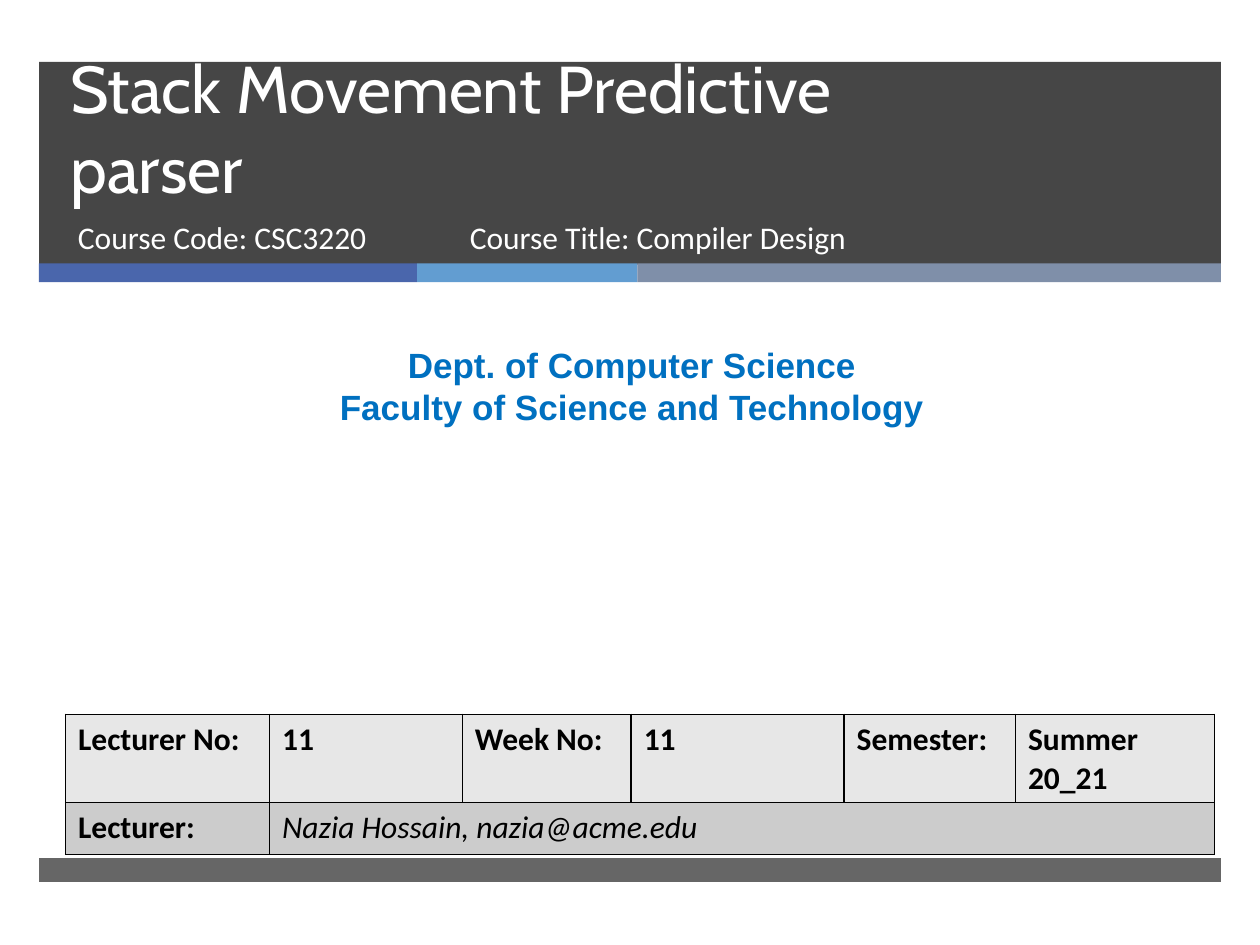
"""Build the opening slide of a compiler design lecture."""
from lxml import etree
from pptx import Presentation, util as u
from pptx.dml.color import RGBColor
from pptx.enum import shapes, text
from pptx.oxml.ns import qn

WHITE, BLACK = RGBColor(255, 255, 255), RGBColor(0, 0, 0)
CHARCOAL = RGBColor(0x26, 0x26, 0x26)
INDIGO, SKY, SLATE = (RGBColor.from_string(c) for c in ("4A66AC", "629DD1", "7F8FA9"))
DEPT_BLUE = RGBColor(0, 0x70, 0xC0)
ROW_FILLS = RGBColor(0xE7, 0xE7, 0xE7), RGBColor(0xCC, 0xCC, 0xCC)

BAND_LEFT, BAND_WIDTH = 0.31, 9.38
BANDS = [(0.49, 1.61, 85), (6.81, 0.19, 70)]
STRIPES = [(3, INDIGO), (1.75, SKY), (4.63, SLATE)]
STRIPE_TOP, STRIPE_HEIGHT = 2.09, 0.15

COURSE = {"name": "Calibri", "size": u.Pt(18)}
TEXTS = [
    ((0.46, 0.5, 8.54, 1.19), ["Stack Movement Predictive \vparser"],
     {"name": "Cabin", "size": u.Pt(37.8)}, WHITE,
     {"line_spacing": u.Pt(46)}, text.MSO_ANCHOR.BOTTOM),
    ((0.52, 1.68, 3.05, 0.53), ["Course Code: CSC3220"],
     COURSE, WHITE, {}, text.MSO_ANCHOR.TOP),
    ((3.63, 1.68, 4.55, 0.53), ["Course Title: Compiler Design"],
     COURSE, WHITE, {}, text.MSO_ANCHOR.TOP),
    ((0.08, 2.68, 9.87, 0.77),
     ["Dept. of Computer Science", "Faculty of Science and Technology"],
     {"name": "Arial", "size": u.Pt(20), "bold": True}, DEPT_BLUE,
     {"alignment": text.PP_ALIGN.CENTER}, text.MSO_ANCHOR.TOP),
]

DETAILS = [
    ["Lecturer No:", "11", "Week No:", "11", "Semester:", "Summer 20_21"],
    ["Lecturer:", "Nazia Hossain, nazia@acme.edu", "", "", "", ""],
]
COLUMNS = [1.62, 1.53, 1.34, 1.69, 1.36, 1.58]
ROWS = [0.7, 0.41]
DETAILS_LEFT, DETAILS_TOP = 0.52, 5.67


def inches(values):
    return [u.Inches(v) for v in values]


def apply(target, values):
    for key, value in values.items():
        setattr(target, key, value)


def write(paragraph, words, font, color, layout):
    paragraph.text = words
    apply(paragraph, layout)
    for run in paragraph.runs:
        apply(run.font, font)
        run.font.color.rgb = color


def add_bar(slide, box, color, opacity=100):
    bar = slide.shapes.add_shape(shapes.MSO_SHAPE.RECTANGLE, *inches(box))
    bar.shadow.inherit = False
    bar.line.fill.background()
    bar.fill.solid()
    bar.fill.fore_color.rgb = color
    if opacity < 100:
        tint = bar.fill._xPr.find(".//" + qn("a:srgbClr"))
        etree.SubElement(tint, qn("a:alpha"), val=str(opacity * 1000))


def add_words(slide, box, lines, font, color, layout, anchor):
    frame = slide.shapes.add_textbox(*inches(box)).text_frame
    apply(frame, {"word_wrap": True, "vertical_anchor": anchor})
    for index, line in enumerate(lines):
        paragraph = frame.add_paragraph() if index else frame.paragraphs[0]
        write(paragraph, line, font, color, layout)


def add_borders(cell):
    properties = cell._tc.get_or_add_tcPr()
    for position, side in enumerate(("a:lnL", "a:lnR", "a:lnT", "a:lnB")):
        border = etree.Element(qn(side), w=str(u.Pt(1)))
        fill = etree.SubElement(border, qn("a:solidFill"))
        etree.SubElement(fill, qn("a:srgbClr"), val=str(BLACK))
        properties.insert(position, border)


def add_details(slide):
    box = DETAILS_LEFT, DETAILS_TOP, sum(COLUMNS), sum(ROWS)
    table = slide.shapes.add_table(len(ROWS), len(COLUMNS), *inches(box)).table
    for column, width in zip(table.columns, COLUMNS):
        column.width = u.Inches(width)
    for row, height in zip(table.rows, ROWS):
        row.height = u.Inches(height)
    table.cell(1, 1).merge(table.cell(1, len(COLUMNS) - 1))
    for r, entries in enumerate(DETAILS):
        for c, entry in enumerate(entries):
            cell = table.cell(r, c)
            cell.fill.solid()
            cell.fill.fore_color.rgb = ROW_FILLS[r]
            add_borders(cell)
            contact = (r, c) == (1, 1)
            font = {**COURSE, "bold": not contact, "italic": contact}
            if entry:
                write(cell.text_frame.paragraphs[0], entry, font, BLACK, {})


def main():
    deck = Presentation()
    deck.slide_width, deck.slide_height = inches((10, 7.5))
    slide = deck.slides.add_slide(deck.slide_layouts[6])
    for top, height, opacity in BANDS:
        add_bar(slide, (BAND_LEFT, top, BAND_WIDTH, height), CHARCOAL, opacity)
    left = BAND_LEFT
    for width, color in STRIPES:
        add_bar(slide, (left, STRIPE_TOP, width, STRIPE_HEIGHT), color)
        left += width
    for item in TEXTS:
        add_words(slide, *item)
    add_details(slide)
    deck.save("out.pptx")


if __name__ == "__main__":
    main()
